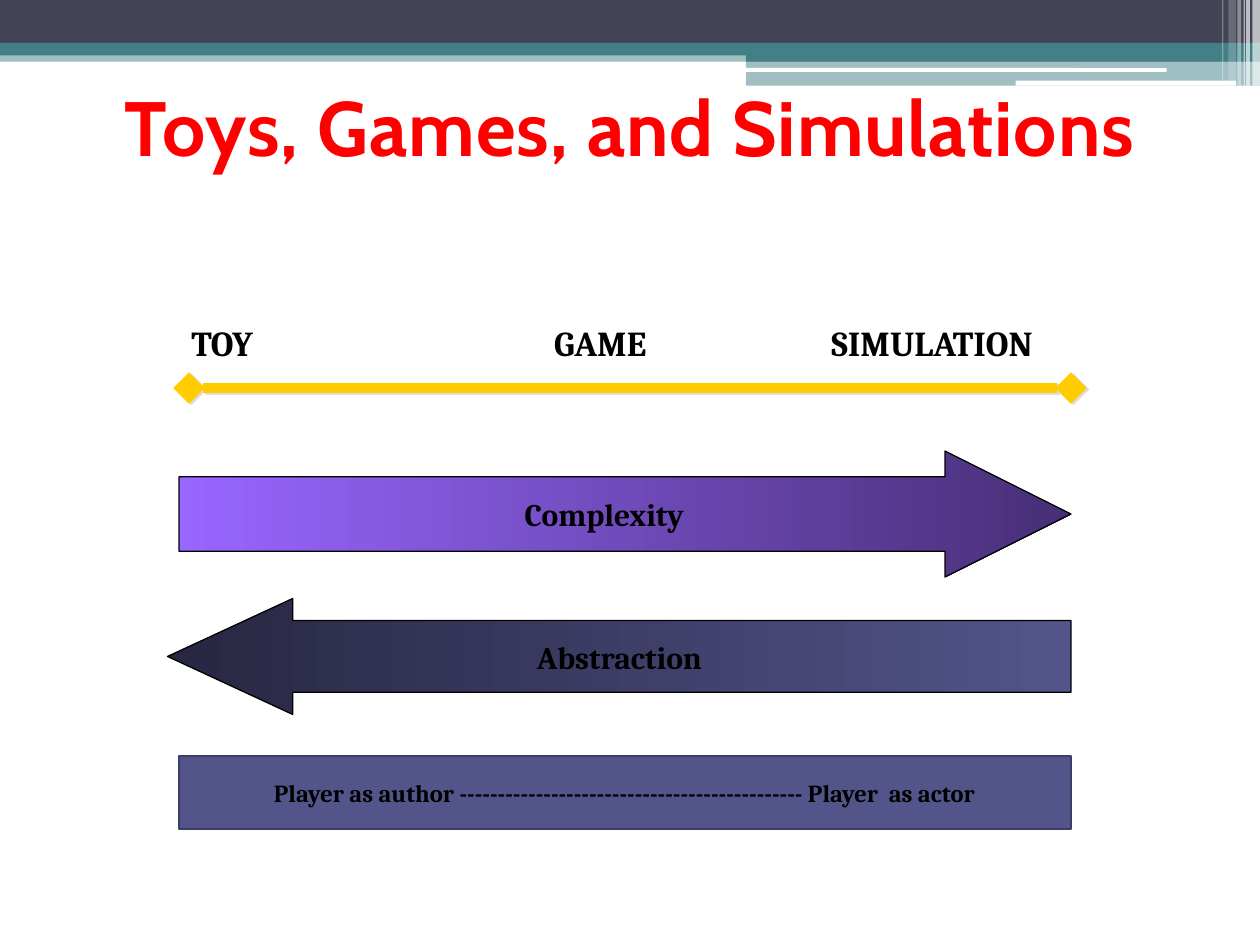
from dataclasses import dataclass

from lxml import etree
from pptx import Presentation
from pptx.dml.color import RGBColor
from pptx.enum.shapes import MSO_CONNECTOR, MSO_SHAPE
from pptx.enum.text import MSO_ANCHOR, PP_ALIGN
from pptx.oxml.ns import qn
from pptx.util import Inches, Pt

RECT = MSO_SHAPE.RECTANGLE
ROUNDED = MSO_SHAPE.ROUNDED_RECTANGLE
RIGHT_ARROW = MSO_SHAPE.RIGHT_ARROW
LEFT_ARROW = MSO_SHAPE.LEFT_ARROW
STRAIGHT = MSO_CONNECTOR.STRAIGHT
MIDDLE = MSO_ANCHOR.MIDDLE
CENTER = PP_ALIGN.CENTER


@dataclass(frozen=True)
class Theme:
    title_font: str = "Cabin"
    body_font: str = "Cambria"
    title_size: float = 44
    label_size: float = 20
    arrow_size: float = 18
    role_size: float = 14
    title: str = "FF0000"
    title_shadow: str = "9FC4DE"
    text: str = "000000"
    white: str = "FFFFFF"
    navy: str = "424456"
    teal: str = "438086"
    scale: str = "FFCC00"
    scale_shadow: str = "DEDEDE"
    purple: str = "9966FF"
    purple_dark: str = "472F76"
    indigo: str = "53548A"
    indigo_dark: str = "272742"
    role_line: str = "3D3E66"


@dataclass(frozen=True)
class Box:
    left: float
    top: float
    width: float
    height: float

    def emu(self):
        return [Inches(v) for v in (self.left, self.top, self.width, self.height)]


@dataclass(frozen=True)
class Band:
    box: Box
    color: str
    opacity: int = 100
    kind: int = RECT


@dataclass(frozen=True)
class Label:
    text: str
    left: float
    width: float


@dataclass(frozen=True)
class Arrow:
    text: str
    kind: int
    box: Box
    adjustments: tuple[float, float]
    colors: tuple[str, str]
    inset_left: float = 0.1
    inset_right: float = 0.1


THEME = Theme()

BANDS = [
    Band(Box(0, 0.4, 10, 0.09), THEME.teal, 50),
    Band(Box(0, 0, 10, 0.34), THEME.navy),
    Band(Box(0, 0.34, 10, 0.1), THEME.teal),
    Band(Box(5.92, 0.39, 4.08, 0.1), THEME.teal),
    Band(Box(5.92, 0.48, 4.08, 0.2), THEME.teal, 50),
    Band(Box(5.91, 0.54, 3.35, 0.03), THEME.white, kind=ROUNDED),
    Band(Box(8.06, 0.64, 1.75, 0.04), THEME.white, kind=ROUNDED),
] + [
    Band(Box(left, 0, width, height), THEME.white, opacity)
    for left, width, height, opacity in (
        (9.94, 0.06, 0.68, 65),
        (9.89, 0.03, 0.68, 65),
        (9.87, 0.01, 0.68, 60),
        (9.82, 0.03, 0.68, 40),
        (9.75, 0.06, 0.64, 20),
        (9.7, 0.01, 0.64, 30),
    )
]

LABELS = [
    Label("TOY", 1.42, 0.8),
    Label("GAME", 4.3, 1.04),
    Label("SIMULATION", 6.5, 2.03),
]

ARROWS = [
    Arrow("Complexity", RIGHT_ARROW, Box(1.42, 3.58, 7.08, 1), (0.59, 1),
          (THEME.purple, THEME.purple_dark), inset_left=0.36),
    Arrow("Abstraction", LEFT_ARROW, Box(1.33, 4.75, 7.17, 0.92), (0.62, 1.08),
          (THEME.indigo_dark, THEME.indigo), inset_right=0.71),
]


def rgb(color: str) -> RGBColor:
    return RGBColor.from_string(color)


def format_text(tf, text: str, size: float, color: str = THEME.text,
                font: str = THEME.body_font):
    tf.text = text
    r = tf.paragraphs[0].runs[0]
    r.font.name = font
    r.font.size = Pt(size)
    r.font.bold = True
    r.font.color.rgb = rgb(color)
    return r


def add_shape(s, kind: int, box: Box):
    sp = s.shapes.add_shape(kind, *box.emu())
    sp.shadow.inherit = False
    return sp


def add_band(s, band: Band) -> None:
    sp = add_shape(s, band.kind, band.box)
    sp.fill.solid()
    sp.fill.fore_color.rgb = rgb(band.color)
    sp.line.fill.background()
    if band.opacity < 100:
        clr = next(sp.fill._xPr.iter(qn("a:srgbClr")))
        etree.SubElement(clr, qn("a:alpha"), val=str(band.opacity * 1000))


def add_title(s, text: str) -> None:
    sp = s.shapes.title
    sp.left, sp.top, sp.width, sp.height = Box(0.5, 0.58, 9, 0.83).emu()
    tf = sp.text_frame
    tf.word_wrap = True
    tf.vertical_anchor = MIDDLE
    r = format_text(tf, text, THEME.title_size, THEME.title, THEME.title_font)
    tf.paragraphs[0].alignment = CENTER
    props = r.font._element
    props.set("spc", "50")
    effects = etree.Element(qn("a:effectLst"))
    shadow = etree.SubElement(effects, qn("a:outerShdw"), blurRad="38100",
                              dist="25400", dir="2700000")
    etree.SubElement(shadow, qn("a:srgbClr"), val=THEME.title_shadow)
    props.find(qn("a:solidFill")).addnext(effects)


def add_scale(s, left: float, y: float, color: str) -> None:
    line = s.shapes.add_connector(STRAIGHT, Inches(left), Inches(y),
                                  Inches(left + 7), Inches(y))
    line.line.color.rgb = rgb(color)
    line.line.width = Pt(6)
    ln = line.line._get_or_add_ln()
    for end in ("a:headEnd", "a:tailEnd"):
        etree.SubElement(ln, qn(end), type="diamond")
    etree.SubElement(line._element.spPr, qn("a:effectLst"))


def add_label(s, label: Label) -> None:
    sp = s.shapes.add_textbox(*Box(label.left, 2.5, label.width, 0.43).emu())
    sp.text_frame.word_wrap = False
    format_text(sp.text_frame, label.text, THEME.label_size)


def center_text(sp, text: str, size: float) -> None:
    tf = sp.text_frame
    tf.vertical_anchor = MIDDLE
    format_text(tf, text, size)
    tf.paragraphs[0].alignment = CENTER


def add_arrow(s, arrow: Arrow) -> None:
    sp = add_shape(s, arrow.kind, arrow.box)
    for i, value in enumerate(arrow.adjustments):
        sp.adjustments[i] = value
    sp.fill.gradient()
    sp.fill.gradient_angle = 0
    for stop, color in zip(sp.fill.gradient_stops, arrow.colors):
        stop.color.rgb = rgb(color)
    sp.line.color.rgb = rgb(THEME.text)
    sp.line.width = Pt(0.75)
    sp.text_frame.margin_left = Inches(arrow.inset_left)
    sp.text_frame.margin_right = Inches(arrow.inset_right)
    center_text(sp, arrow.text, THEME.arrow_size)


def add_role_bar(s, text: str) -> None:
    sp = add_shape(s, RECT, Box(1.42, 6, 7.08, 0.58))
    sp.fill.solid()
    sp.fill.fore_color.rgb = rgb(THEME.indigo)
    sp.line.color.rgb = rgb(THEME.role_line)
    sp.line.width = Pt(1.5)
    center_text(sp, text, THEME.role_size)


def main() -> None:
    prs = Presentation()
    prs.slide_width, prs.slide_height = Inches(10), Inches(7.5)
    s = prs.slides.add_slide(prs.slide_layouts[5])
    add_title(s, "Toys, Games, and Simulations")
    for band in BANDS:
        add_band(s, band)
    add_scale(s, 1.52, 3.09, THEME.scale_shadow)
    for label in LABELS:
        add_label(s, label)
    add_scale(s, 1.5, 3.08, THEME.scale)
    for arrow in ARROWS:
        add_arrow(s, arrow)
    add_role_bar(s, f"Player as author {'-' * 45} Player  as actor")
    prs.save("out.pptx")


if __name__ == "__main__":
    main()
